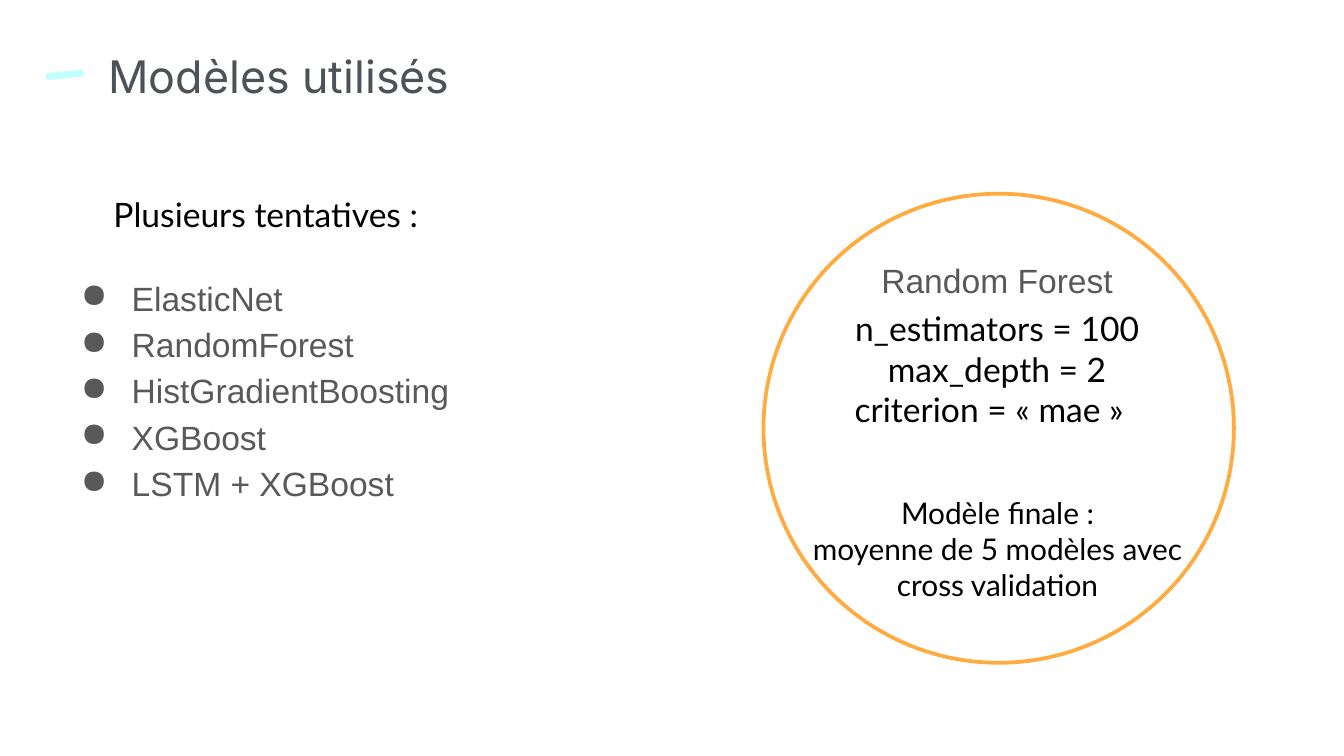
from lxml.etree import SubElement
from pptx import Presentation
from pptx.dml.color import RGBColor
from pptx.enum.shapes import MSO_SHAPE
from pptx.enum.text import MSO_ANCHOR, MSO_AUTO_SIZE, PP_ALIGN
from pptx.oxml.ns import qn
from pptx.util import Cm, Pt

SLATE = RGBColor(0x4B, 0x52, 0x58)
GREY = RGBColor(0x59, 0x59, 0x59)
BLACK = RGBColor(0, 0, 0)
AQUA = RGBColor(0xC3, 0xFF, 0xFC)
AMBER = RGBColor(0xFF, 0xAB, 0x40)

TITLE = "Modèles utilisés"
INTRO = ["Plusieurs tentatives :"]
MODELS = ["ElasticNet", "RandomForest", "HistGradientBoosting", "XGBoost", "LSTM + XGBoost"]
CHOICE = ["Random Forest"]
PARAMS = ["n_estimators = 100", "max_depth = 2", "criterion = «\u00a0mae\u00a0»"]
FINAL = ["Modèle finale :", "moyenne de 5 modèles avec", "cross validation"]

HEAD = ("Inter", 24, SLATE)
LIST = ("Arial", 18, GREY)
BODY = ("Lato", 18, BLACK)
NOTE = ("Lato", 16, BLACK)


def place(shape, box):
    shape.left, shape.top, shape.width, shape.height = [Cm(n) for n in box]


def bullet(para):
    props = para._p.get_or_add_pPr()
    props.set("marL", str(Cm(1.27)))
    props.set("indent", str(-Cm(0.96)))
    color = SubElement(props, qn("a:buClr"))
    SubElement(color, qn("a:srgbClr"), val=str(GREY))
    SubElement(props, qn("a:buChar"), char="●")


def write(shape, lines, style, align=PP_ALIGN.CENTER, inset=0.13, space=1.0, dots=False):
    frame = shape.text_frame
    frame.word_wrap = True
    frame.auto_size = MSO_AUTO_SIZE.NONE
    frame.vertical_anchor = MSO_ANCHOR.TOP
    frame.margin_left = frame.margin_right = Cm(0.25)
    frame.margin_top = frame.margin_bottom = Cm(inset)
    name, size, color = style
    for i, line in enumerate(lines):
        para = frame.paragraphs[0] if i == 0 else frame.add_paragraph()
        para.alignment = align
        para.line_spacing = space
        if dots:
            bullet(para)
        run = para.add_run()
        run.text = line
        run.font.name = name
        run.font.size = Pt(size)
        run.font.color.rgb = color
    return frame


deck = Presentation()
deck.slide_width, deck.slide_height = Cm(25.4), Cm(14.28)
slide = deck.slides.add_slide(deck.slide_layouts[5])
shapes = slide.shapes


def label(box, *args, **opts):
    return write(shapes.add_textbox(*[Cm(n) for n in box]), *args, **opts)


def figure(kind, box):
    shape = shapes.add_shape(kind, *[Cm(n) for n in box])
    shape.shadow.inherit = False
    return shape


title = shapes.title
place(title, (1.8, 0.66, 14.76, 1.47))
write(title, [TITLE], HEAD, PP_ALIGN.LEFT, 0.25)

dash = figure(MSO_SHAPE.ROUNDED_RECTANGLE, (0.86, 1.35, 0.74, 0.13))
dash.adjustments[0] = 0.5
dash.rotation = 354.1
dash.fill.solid()
dash.fill.fore_color.rgb = AQUA
dash.line.fill.background()

label((16, 4.55, 5.69, 1.47), CHOICE, LIST, inset=0.25, space=1.15)
params = label((14.02, 5.69, 9.65, 2.57), PARAMS, BODY)
params.paragraphs[-1]._p.get_or_add_pPr().set("marR", str(Cm(0.3)))
label((13.89, 9.22, 9.93, 2.31), FINAL, NOTE)
label((0.97, 4.88, 8.23, 4.85), MODELS, LIST, PP_ALIGN.LEFT, 0.25, 1.15, True)
label((0.86, 3.53, 8.33, 1.02), INTRO, BODY)

ring = figure(MSO_SHAPE.OVAL, (14.43, 3.66, 8.89, 8.86))
ring.fill.background()
ring.line.color.rgb = AMBER
ring.line.width = Pt(2)

deck.save("out.pptx")
